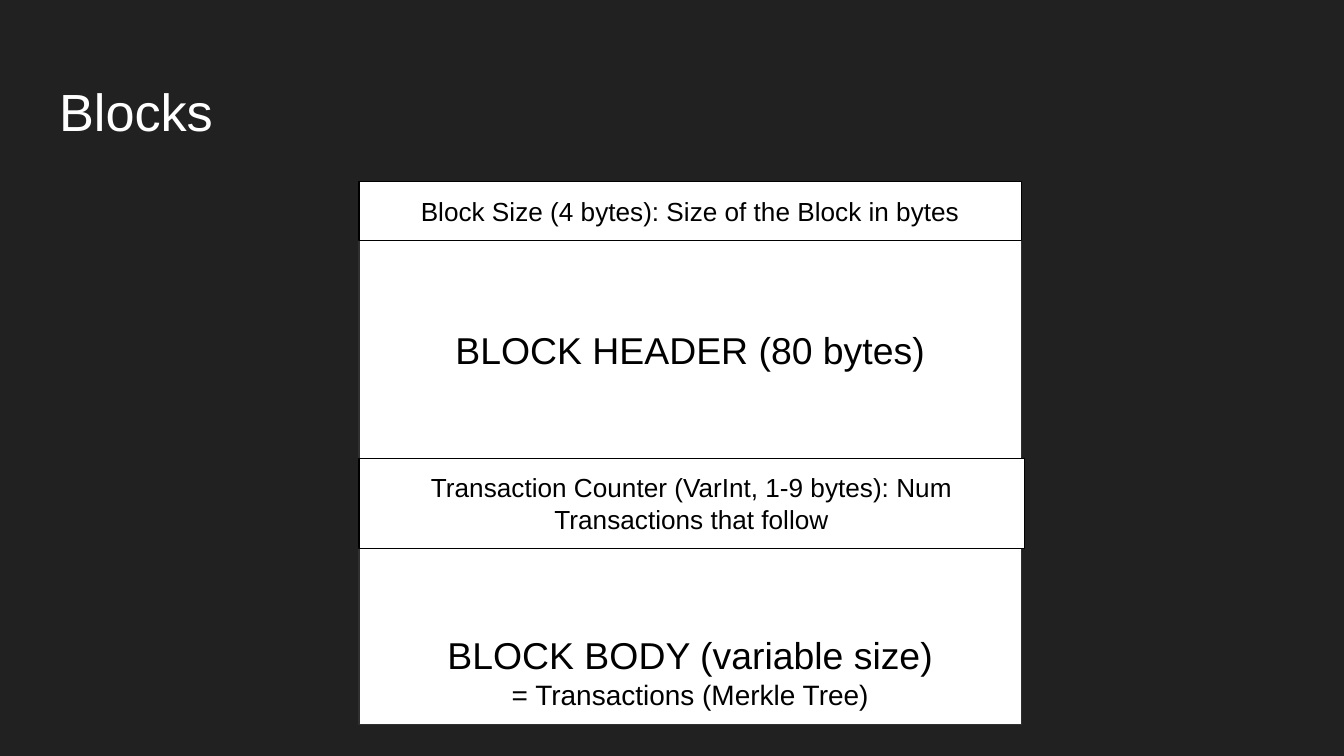
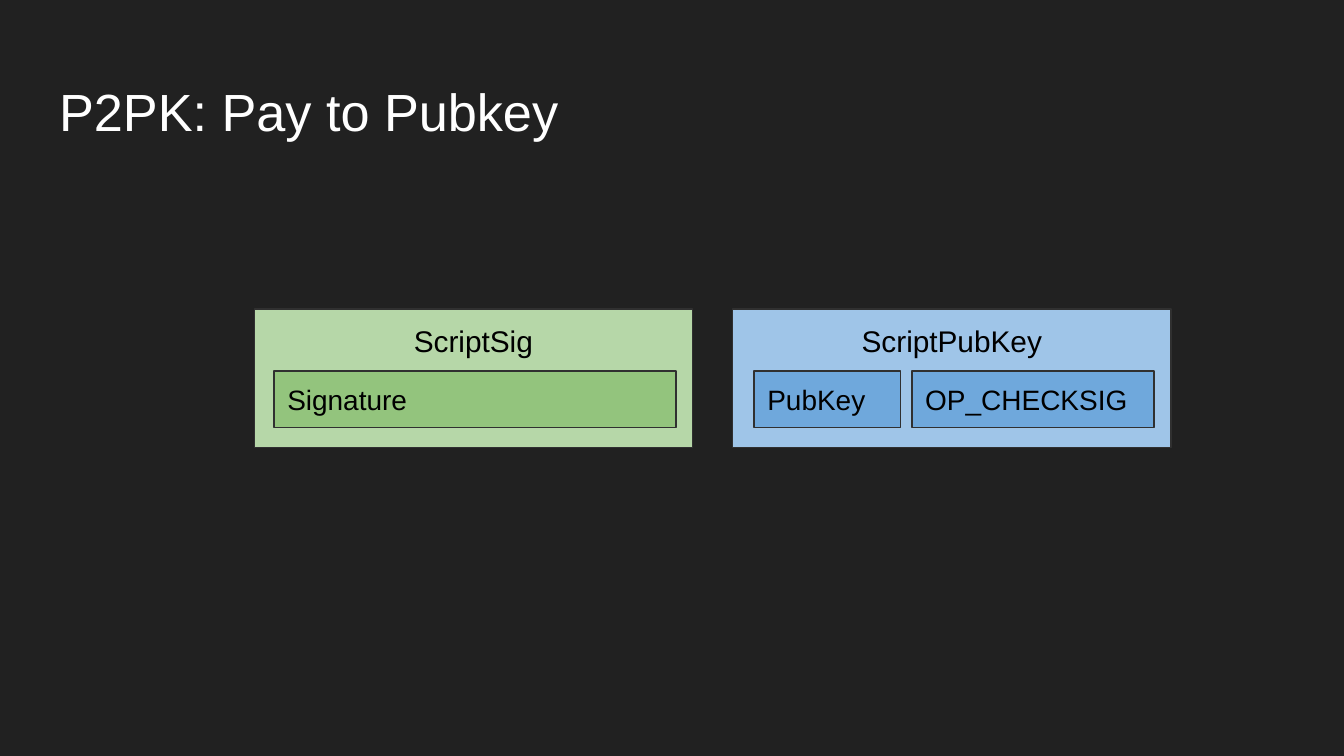
from dataclasses import dataclass

from pptx import Presentation
from pptx.dml.color import RGBColor
from pptx.enum import shapes, text
from pptx.util import Pt


@dataclass(frozen=True)
class Theme:
    font: str = "Arial"
    background: str = "212121"
    light: str = "FFFFFF"
    dark: str = "000000"
    edge: str = "303030"
    green: str = "B6D7A8"
    green_deep: str = "93C47D"
    blue: str = "9FC5E8"
    blue_deep: str = "6FA8DC"
    title_size: int = 28
    section_size: int = 20
    script_size: int = 16
    item_size: int = 15
    field_size: int = 14
    inset: float = 7.2
    line: float = 0.75


T = Theme()
LEFT, CENTER = text.PP_ALIGN.LEFT, text.PP_ALIGN.CENTER
TOP, MIDDLE, BOTTOM = (text.MSO_ANCHOR.TOP, text.MSO_ANCHOR.MIDDLE,
                       text.MSO_ANCHOR.BOTTOM)
FIXED, GROW = text.MSO_AUTO_SIZE.NONE, text.MSO_AUTO_SIZE.SHAPE_TO_FIT_TEXT


def rgb(value):
    return RGBColor.from_string(value)


def set_text(sp, lines, color, align=LEFT, anchor=TOP, fit=FIXED):
    """Write (text, size) lines into a shape."""
    tf = sp.text_frame
    inset = Pt(T.inset)
    frame = dict(word_wrap=True, auto_size=fit, vertical_anchor=anchor,
                 margin_left=inset, margin_right=inset,
                 margin_top=inset, margin_bottom=inset)
    for name, value in frame.items():
        setattr(tf, name, value)
    for i, (words, size) in enumerate(lines):
        p = tf.add_paragraph() if i else tf.paragraphs[0]
        p.alignment = align
        r = p.add_run()
        r.text = words
        for name, value in dict(name=T.font, size=Pt(size)).items():
            setattr(r.font, name, value)
        r.font.color.rgb = rgb(color)


def add_box(s, box, fill, lines, edge=T.edge, **layout):
    sp = s.shapes.add_shape(shapes.MSO_SHAPE.RECTANGLE, *map(Pt, box))
    sp.shadow.inherit = False
    sp.fill.solid()
    sp.fill.fore_color.rgb = rgb(fill)
    sp.line.color.rgb = rgb(edge)
    sp.line.width = Pt(T.line)
    set_text(sp, lines, T.dark, **layout)


def add_titled_slide(prs, title):
    s = prs.slides.add_slide(prs.slide_layouts[5])
    sp = s.shapes.title
    place = dict(left=24.5, top=35.3, width=671, height=45.4)
    for name, value in place.items():
        setattr(sp, name, Pt(value))
    set_text(sp, [(title, T.title_size)], T.light)
    return s


def add_block(s, left, top, width):
    """Stack the four parts of a block downwards from the top."""
    section = dict(edge=T.edge, anchor=MIDDLE)
    field = dict(edge=T.dark, fit=GROW)
    parts = [
        (31.7, 0, [("Block Size (4 bytes): Size of the Block in bytes",
                    T.field_size)], field),
        (116.6, 0, [("BLOCK HEADER (80 bytes)", T.section_size)], section),
        (48.2, 1.4, [("Transaction Counter (VarInt, 1-9 bytes): "
                      "Num Transactions that follow", T.field_size)], field),
        (94.3, 0, [("BLOCK BODY (variable size)", T.section_size),
                   ("= Transactions (Merkle Tree)", T.item_size)],
         dict(section, anchor=BOTTOM)),
    ]
    placed = []
    for height, extra, lines, style in parts:
        placed.append(((left, top, width + extra, height), lines, style))
        top += height
    # Fields go over the sections, so their black edges stay visible
    for box, lines, style in sorted(placed, key=lambda part: "fit" in part[2]):
        add_box(s, box, T.light, lines, align=CENTER, **style)


def add_script(s, box, name, fill, item_fill, items):
    """Draw a script box; items are (text, offset from left, width)."""
    left, top = box[:2]
    add_box(s, box, fill, [(name, T.script_size)], align=CENTER)
    for words, offset, width in items:
        add_box(s, (left + offset, top + 33.1, width, 30.2), item_fill,
                [(words, T.item_size)], anchor=MIDDLE)


def blocks_slide(prs):
    s = add_titled_slide(prs, "Blocks")
    add_block(s, 192.3, 97.3, 355)


def p2pk_slide(prs):
    s = add_titled_slide(prs, "P2PK: Pay to Pubkey")
    top, width, height = 165.6, 234.7, 74
    add_script(s, (136.3, top, width, height), "ScriptSig",
               T.green, T.green_deep, [("Signature", 10.5, 215.3)])
    add_script(s, (392.6, top, width, height), "ScriptPubKey",
               T.blue, T.blue_deep,
               [("PubKey", 11.4, 78.5), ("OP_CHECKSIG", 96, 129.6)])


def main():
    prs = Presentation()
    prs.slide_width, prs.slide_height = Pt(720), Pt(405)
    # Shared background
    fill = prs.slide_master.background.fill
    fill.solid()
    fill.fore_color.rgb = rgb(T.background)
    blocks_slide(prs)
    p2pk_slide(prs)
    prs.save("out.pptx")


if __name__ == "__main__":
    main()
